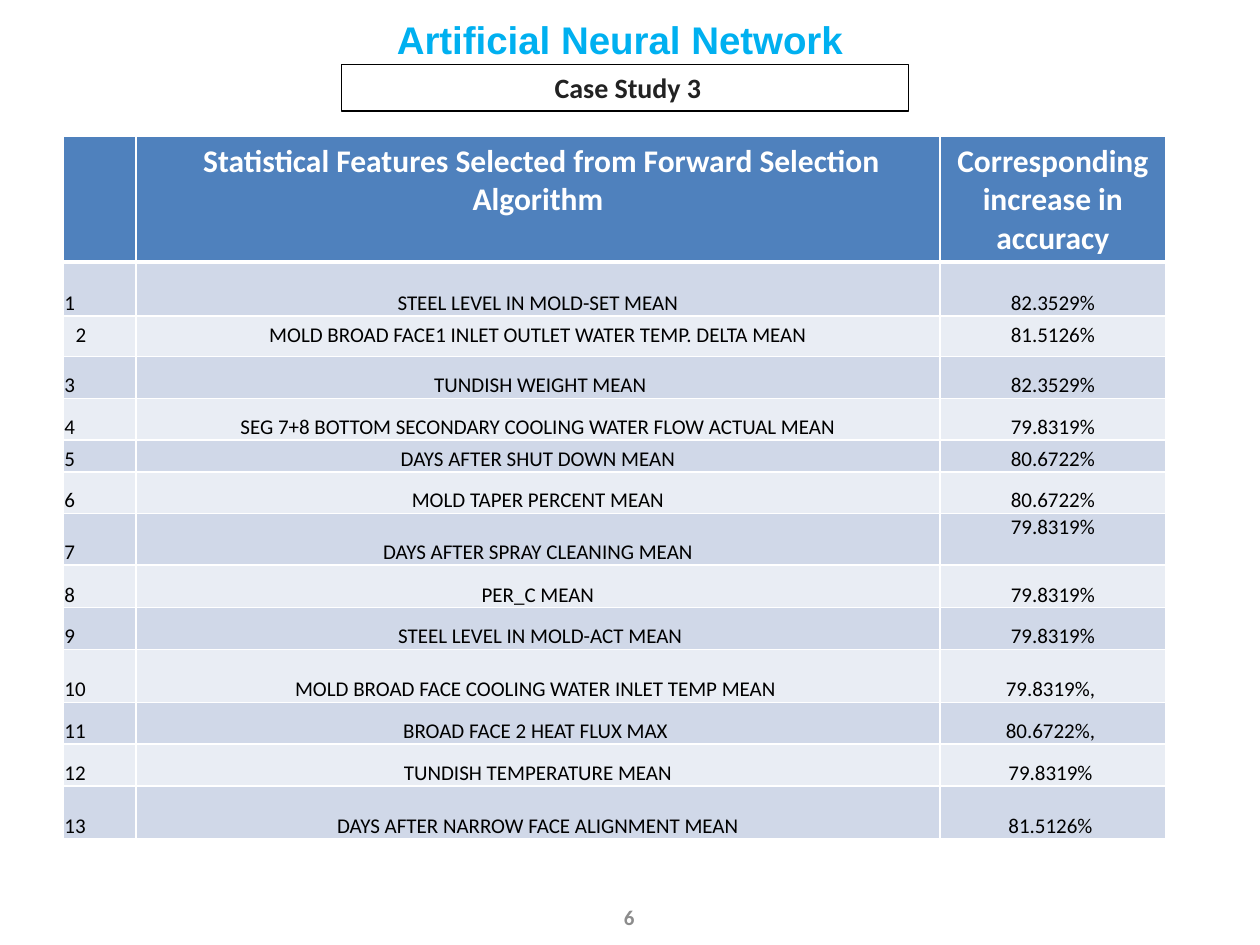
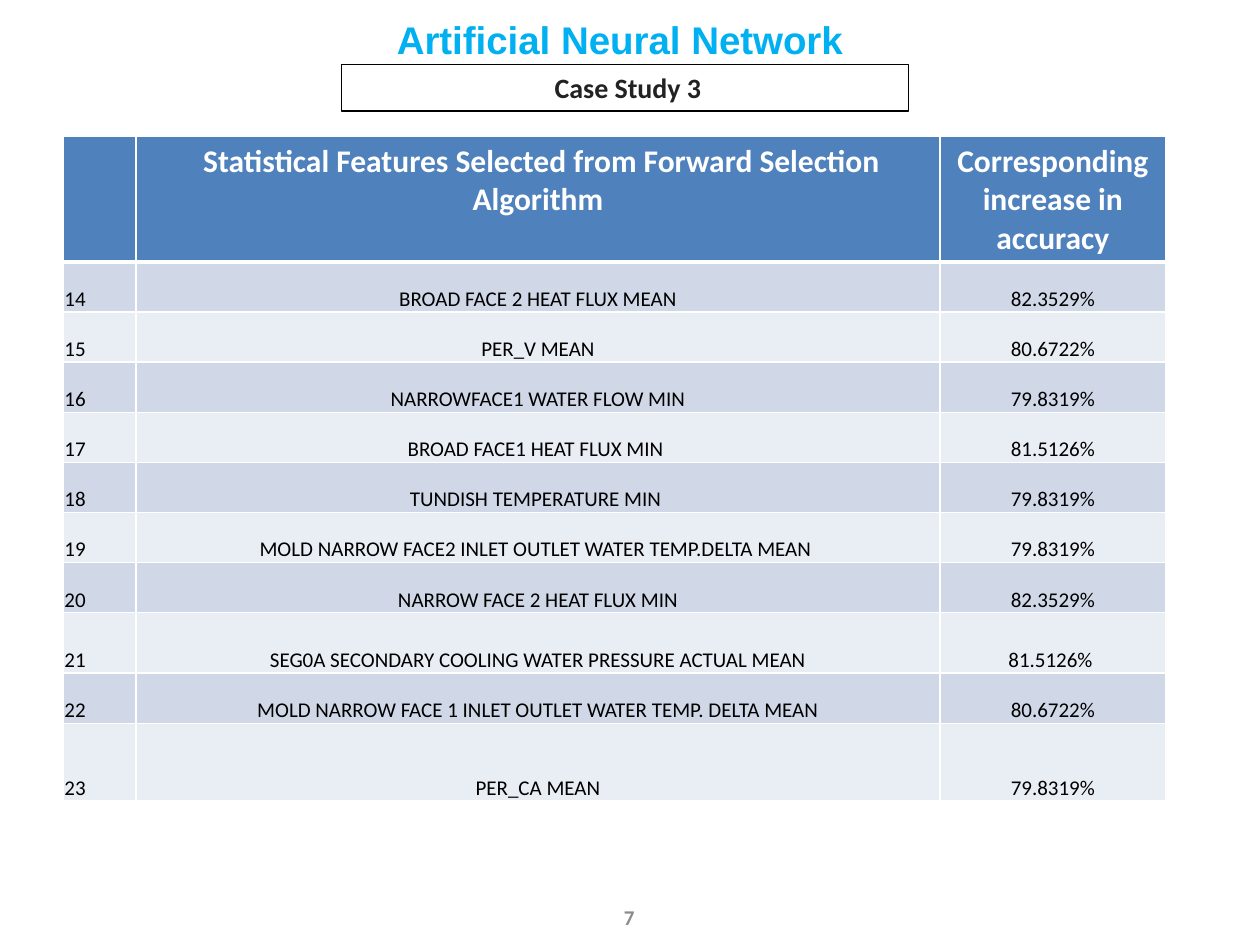
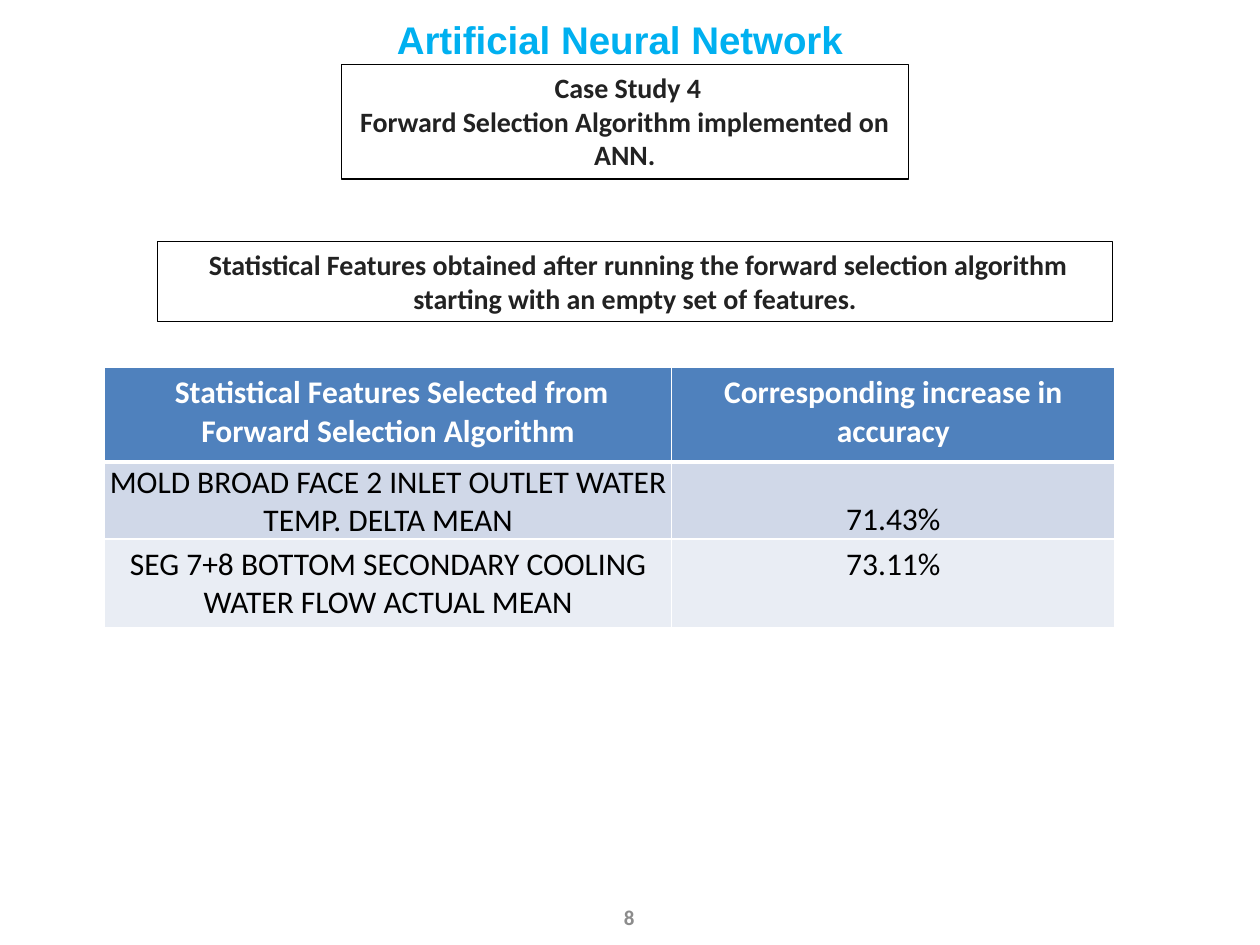
import lxml.etree
import pptx
import pptx.dml.color
import pptx.enum.shapes
import pptx.enum.text
import pptx.oxml.ns
import pptx.util

Cm = pptx.util.Cm
Pt = pptx.util.Pt
RGBColor = pptx.dml.color.RGBColor
ALIGN = pptx.enum.text.PP_ALIGN
ANCHOR = pptx.enum.text.MSO_ANCHOR
qn = pptx.oxml.ns.qn

WHITE = RGBColor(0xFF, 0xFF, 0xFF)
BLACK = RGBColor(0, 0, 0)
CYAN = RGBColor(0x00, 0xB0, 0xF0)
INK = RGBColor(0x22, 0x22, 0x22)
GREY = RGBColor(0x8C, 0x8C, 0x8C)
HEADER = RGBColor(0x4F, 0x81, 0xBD)
BANDS = [RGBColor(0xE9, 0xED, 0xF4), RGBColor(0xD0, 0xD8, 0xE8)]

TITLE_FONT = {"name": "Arial", "size": Pt(22), "bold": True, "color": CYAN}
PAGE_FONT = {"name": "Calibri", "size": Pt(12), "bold": True, "color": GREY}
BOX_FONT = {"name": "Calibri", "size": Pt(16), "bold": True, "color": INK}
HEAD_FONT = {"name": "Calibri", "size": Pt(18), "bold": True, "color": WHITE}
BODY_FONT = {"name": "Calibri", "size": Pt(18), "bold": False, "color": BLACK}
SMALL_FONT = BODY_FONT | {"size": Pt(12)}

TIGHT = {"vertical_anchor": ANCHOR.BOTTOM, "margin_left": Cm(0.03),
         "margin_top": Cm(0.03), "margin_right": Cm(0.03), "margin_bottom": 0}
TIGHT_TOP = TIGHT | {"vertical_anchor": ANCHOR.TOP}
LOOSE = {"vertical_anchor": ANCHOR.TOP}

TITLE = "Artificial Neural Network"
HEADINGS = [" Statistical Features Selected from Forward Selection Algorithm",
            "Corresponding increase in accuracy"]
TITLE_AT = (7.75, 0.2, 11.63, 1.2)
PAGE_AT = (11.81, 17.98, 1.75, 1.02)
RANKED_AT = (1.27, 2.74)
RANKED_COLS = [1.47, 16.21, 4.55]

FIRST_FEATURES = [
    ("STEEL LEVEL IN MOLD-SET MEAN", "82.3529%", 1.09),
    ("MOLD BROAD FACE1 INLET OUTLET WATER TEMP. DELTA MEAN", "81.5126%", 0.82),
    (" TUNDISH WEIGHT MEAN", "82.3529%", 0.84),
    ("SEG 7+8 BOTTOM SECONDARY COOLING WATER FLOW ACTUAL MEAN", "79.8319%", 0.84),
    ("DAYS AFTER SHUT DOWN MEAN", "80.6722%", 0.64),
    ("MOLD TAPER PERCENT MEAN", "80.6722%", 0.84),
    ("DAYS AFTER SPRAY CLEANING MEAN", "79.8319%", 1.04),
    ("PER_C MEAN", "79.8319%", 0.86),
    (" STEEL LEVEL IN MOLD-ACT MEAN", "79.8319%", 0.84),
    ("MOLD BROAD FACE COOLING WATER INLET TEMP MEAN ", "79.8319%, ", 1.07),
    ("BROAD FACE 2 HEAT FLUX MAX ", "80.6722%, ", 0.84),
    ("TUNDISH TEMPERATURE MEAN", "79.8319% ", 0.84),
    ("DAYS AFTER NARROW FACE ALIGNMENT MEAN", "81.5126% ", 1.07),
]
LATER_FEATURES = [
    ("BROAD FACE 2 HEAT FLUX MEAN", "82.3529%", 1.01),
    ("PER_V MEAN", "80.6722%", 1.01),
    ("NARROWFACE1 WATER FLOW MIN", "79.8319%", 1.01),
    ("BROAD FACE1 HEAT FLUX MIN ", "81.5126%", 1.01),
    ("TUNDISH TEMPERATURE MIN ", "79.8319%", 1.01),
    ("MOLD NARROW FACE2 INLET OUTLET WATER TEMP.DELTA MEAN ", "79.8319%", 1.01),
    ("NARROW FACE 2 HEAT FLUX MIN", "82.3529%", 1.01),
    ("SEG0A SECONDARY COOLING WATER PRESSURE ACTUAL MEAN", "81.5126% ", 1.22),
    ("MOLD NARROW FACE 1 INLET OUTLET WATER TEMP. DELTA MEAN", "80.6722%", 1.01),
    ("PER_CA MEAN", "79.8319%", 1.57),
]
EMPTY_START_FEATURES = [
    ("MOLD BROAD FACE 2 INLET OUTLET WATER TEMP. DELTA MEAN", "71.43%", 1.52),
    ("SEG 7+8 BOTTOM SECONDARY COOLING WATER FLOW ACTUAL MEAN", "73.11%", 1.78),
]


def apply(obj, formats):
    for key, value in formats.items():
        if key == "color":
            obj.color.rgb = value
        else:
            setattr(obj, key, value)


def write(tf, lines, font, align):
    for i, line in enumerate(lines):
        p = tf.add_paragraph() if i else tf.paragraphs[0]
        p.alignment = align
        r = p.add_run()
        r.text = line
        apply(r.font, font)


def add_text(s, box, text, font, align, anchor):
    tf = s.shapes.add_textbox(*map(Cm, box)).text_frame
    apply(tf, {"word_wrap": True, "vertical_anchor": anchor})
    write(tf, [text], font, align)


def add_outlined_box(s, box, lines):
    sp = s.shapes.add_shape(pptx.enum.shapes.MSO_SHAPE.RECTANGLE, *map(Cm, box))
    sp.shadow.inherit = False
    sp.fill.background()
    sp.line.color.rgb = BLACK
    sp.line.width = Pt(0.75)
    apply(sp.text_frame, {"word_wrap": True, "vertical_anchor": ANCHOR.TOP})
    write(sp.text_frame, lines, BOX_FONT, ALIGN.CENTER)


def add_borders(cell, top, bottom):
    tcPr = cell._tc.get_or_add_tcPr()
    for side, width in (("L", 1), ("R", 1), ("T", top), ("B", bottom)):
        ln = lxml.etree.SubElement(tcPr, qn("a:ln" + side), w=str(Pt(width)))
        fill = lxml.etree.SubElement(ln, qn("a:solidFill"))
        lxml.etree.SubElement(fill, qn("a:srgbClr"), val=str(WHITE))


def add_feature_table(s, corner, cols, heights, rows, font, layouts):
    box = (*corner, sum(cols), sum(heights))
    table = s.shapes.add_table(len(rows), len(cols), *map(Cm, box)).table
    for column, width in zip(table.columns, cols):
        column.width = Cm(width)
    for i, (row, height, texts) in enumerate(zip(table.rows, heights, rows)):
        row.height = Cm(height)
        for j, (cell, text) in enumerate(zip(row.cells, texts)):
            add_borders(cell, 3 if i == 1 else 1, 1 if i else 3)
            cell.fill.solid()
            cell.fill.fore_color.rgb = BANDS[i % 2] if i else HEADER
            apply(cell, layouts.get((i, j), TIGHT if i else LOOSE))
            if text:
                ranked = i and len(cols) == 3 and j == 0
                write(cell.text_frame, [text], font if i else HEAD_FONT,
                      ALIGN.LEFT if ranked else ALIGN.CENTER)


def add_frame(prs, page, case_lines, case_height):
    s = prs.slides.add_slide(prs.slide_layouts[6])
    add_text(s, PAGE_AT, str(page), PAGE_FONT, ALIGN.CENTER, ANCHOR.MIDDLE)
    add_text(s, TITLE_AT, TITLE, TITLE_FONT, ALIGN.LEFT, ANCHOR.TOP)
    add_outlined_box(s, (6.88, 1.3, 11.43, case_height), case_lines)
    return s


def ranked_slide(prs, page, first_rank, features, layouts):
    s = add_frame(prs, page, [" Case Study 3"], 0.94)
    rows = [["", *HEADINGS]]
    rows += [[str(n), name, gain] for n, (name, gain, _) in enumerate(features, first_rank)]
    heights = [2.54] + [height for *_, height in features]
    add_feature_table(s, RANKED_AT, RANKED_COLS, heights, rows, SMALL_FONT, layouts)


def empty_start_slide(prs, page):
    s = add_frame(prs, page, [" Case Study 4",
                              "Forward Selection Algorithm implemented on ANN."], 2.31)
    add_outlined_box(s, (3.18, 4.87, 19.25, 1.62), [
        " Statistical Features obtained after running the forward selection algorithm "
        "starting with an empty set of features."])
    rows = [HEADINGS] + [[name, gain] for name, gain, _ in EMPTY_START_FEATURES]
    heights = [1.9] + [height for *_, height in EMPTY_START_FEATURES]
    add_feature_table(s, (2.11, 7.41), [11.43, 8.94], heights, rows, BODY_FONT,
                      {(2, j): LOOSE for j in range(2)})


def main():
    prs = pptx.Presentation()
    prs.slide_width, prs.slide_height = Cm(25.4), Cm(19.05)
    loose_row = {(2, j): LOOSE for j in range(3)}
    ranked_slide(prs, 6, 1, FIRST_FEATURES, loose_row | {(7, 2): TIGHT_TOP})
    ranked_slide(prs, 7, 14, LATER_FEATURES, {})
    empty_start_slide(prs, 8)
    prs.save("out.pptx")


if __name__ == "__main__":
    main()
